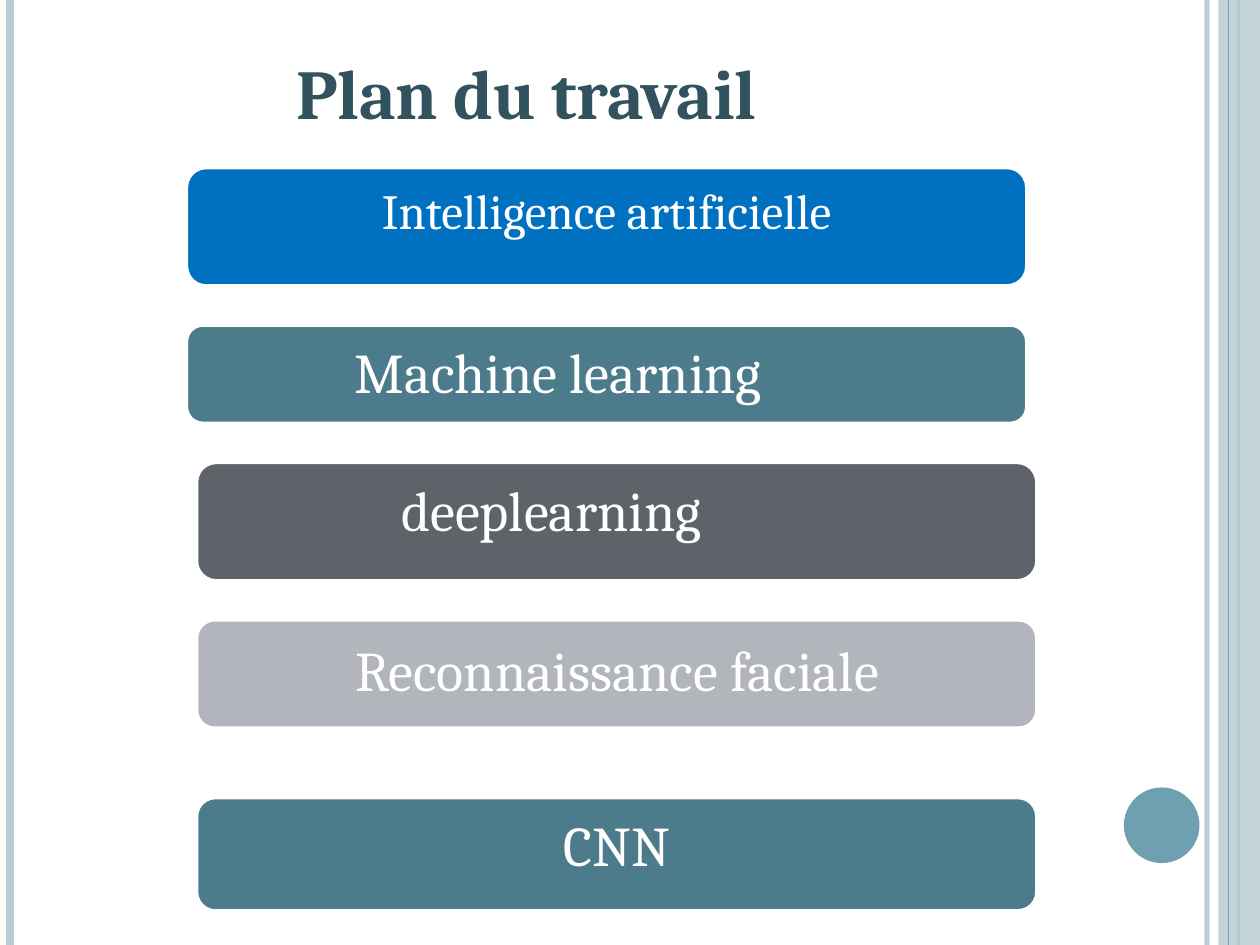
import pptx
import pptx.dml.color
import pptx.enum.shapes
import pptx.enum.text
import pptx.oxml.ns
import pptx.util
from lxml import etree
from pptx.util import Inches

SHAPES = pptx.enum.shapes.MSO_SHAPE
ALIGN = pptx.enum.text.PP_ALIGN
SLIDE_WIDTH, SLIDE_HEIGHT = 10, 7.5
WHITE, PALE, TEAL, DEEP_TEAL = "FFFFFF", "BACDD4", "6EA0B0", "4C7C8B"


def color(hex_code):
    return pptx.dml.color.RGBColor.from_string(hex_code)


def set_opacity(properties, percent):
    """Add an alpha value to the first solid colour in the shape properties."""
    rgb = next(properties.iter(pptx.oxml.ns.qn("a:srgbClr")))
    etree.SubElement(rgb, pptx.oxml.ns.qn("a:alpha"), val=str(percent * 1000))


class PlanSlide:
    """Holds the font and the slide, and draws each kind of element."""

    font_name = "Cambria"

    def __init__(self, slide):
        self.slide = slide

    def rule(self, x, hex_code, width, opacity=100):
        """Draw a vertical line over the full slide height."""
        line = self.slide.shapes.add_connector(
            pptx.enum.shapes.MSO_CONNECTOR.STRAIGHT,
            Inches(x), 0, Inches(x), Inches(SLIDE_HEIGHT))
        line.line.color.rgb = color(hex_code)
        line.line.width = pptx.util.Pt(width)
        properties = line._element.spPr
        if opacity < 100:
            set_opacity(properties, opacity)
        etree.SubElement(properties, pptx.oxml.ns.qn("a:effectLst"))

    def shape(self, kind, left, top, width, height, fill, opacity=100, outline=None):
        shape = self.slide.shapes.add_shape(
            kind, Inches(left), Inches(top), Inches(width), Inches(height))
        shape.shadow.inherit = False
        shape.fill.solid()
        shape.fill.fore_color.rgb = color(fill)
        if opacity < 100:
            set_opacity(shape._element.spPr, opacity)
        if outline:
            shape.line.color.rgb = color(outline)
            shape.line.width = pptx.util.Pt(2)
        else:
            shape.line.fill.background()
        return shape

    def bar(self, left, top, height, fill):
        return self.shape(SHAPES.ROUNDED_RECTANGLE, left, top, 6.67, height,
                          fill, outline=WHITE)

    def text_box(self, left, top, width, height):
        return self.slide.shapes.add_textbox(
            Inches(left), Inches(top), Inches(width), Inches(height))

    def label(self, holder, words, size, hex_code=WHITE, bold=False,
              indent=None, inset_top=0.06, wrap=True):
        """Set one paragraph: centred, or left-aligned after an indent."""
        frame = holder.text_frame
        frame.word_wrap = wrap
        frame.vertical_anchor = pptx.enum.text.MSO_ANCHOR.TOP
        frame.margin_left = Inches(indent or 0)
        frame.margin_top = Inches(inset_top)
        frame.margin_right = frame.margin_bottom = 0
        paragraph = frame.paragraphs[0]
        paragraph.text = words
        paragraph.alignment = ALIGN.CENTER if indent is None else ALIGN.LEFT
        paragraph.font.name = self.font_name
        paragraph.font.size = pptx.util.Pt(size)
        paragraph.font.bold = bold
        paragraph.font.color.rgb = color(hex_code)
        return paragraph


def main():
    presentation = pptx.Presentation()
    presentation.slide_width = Inches(SLIDE_WIDTH)
    presentation.slide_height = Inches(SLIDE_HEIGHT)
    plan = PlanSlide(presentation.slides.add_slide(presentation.slide_layouts[6]))

    plan.rule(9.58, PALE, 3, opacity=93)
    plan.rule(0.08, PALE, 4.5)
    plan.rule(9.83, TEAL, 1.5)
    plan.shape(SHAPES.RECTANGLE, 9.67, 0, 0.33, SLIDE_HEIGHT, PALE, opacity=87)
    plan.rule(9.75, TEAL, 0.75)
    plan.shape(SHAPES.OVAL, 8.92, 6.25, 0.6, 0.6, TEAL)

    title = plan.text_box(1.17, 0.39, 8.36, 0.77)
    plan.label(title, "Plan du travail", 40, "32525D", bold=True,
               indent=1.18, inset_top=0)

    # Topic, left, top, height, fill, text size, indent (None is centred)
    topics = [
        ("Intelligence artificielle", 1.48, 1.33, 0.94, "0070C0", 28, None),
        ("Machine learning", 1.48, 2.58, 0.78, DEEP_TEAL, 32, 1.3),
        ("deeplearning", 1.56, 3.67, 0.94, "5E636A", 32, 1.58),
        ("CNN", 1.56, 6.33, 0.9, DEEP_TEAL, 32, None),
    ]
    for topic, left, top, height, fill, size, indent in topics:
        plan.label(plan.bar(left, top, height, fill), topic, size, indent=indent)

    plan.bar(1.56, 4.92, 0.86, "B2B5BB")
    recognition = plan.text_box(2.42, 5.08, 4.96, 0.59)
    paragraph = plan.label(recognition, "Reconnaissance faciale", 32,
                           inset_top=0.02, wrap=False)
    paragraph.line_spacing = 0.9

    presentation.save("out.pptx")


if __name__ == "__main__":
    main()
